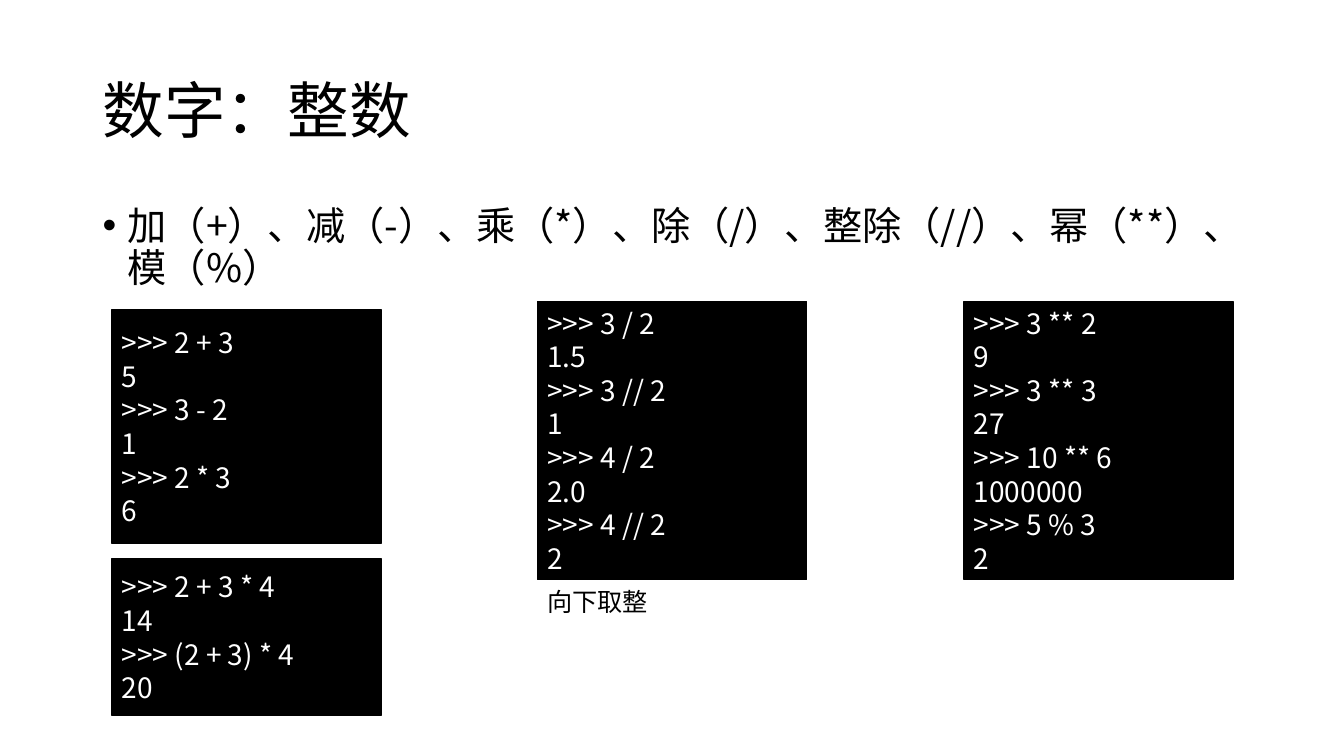
"""Build the slide on integer arithmetic in Python."""
import dataclasses

import lxml.etree
import pptx
import pptx.dml.color
import pptx.enum.shapes
import pptx.enum.text
import pptx.oxml.ns
import pptx.slide
import pptx.text.text
import pptx.util

EMU_PER_PX = 9144
FONT = "Noto Sans CJK SC"
COLORS = {"ink": "000000", "paper": "FFFFFF"}
CONSOLE_WIDTH = 267
COLUMNS = (111, 533, 956)
MIDDLE = pptx.enum.text.MSO_ANCHOR.MIDDLE
TOP = pptx.enum.text.MSO_ANCHOR.TOP


@dataclasses.dataclass(frozen=True)
class Label:
    text: str
    left: int
    top: int
    width: int
    height: int
    size: int
    anchor: pptx.enum.text.MSO_ANCHOR = TOP
    line_spacing: float = 1.0
    bullet: bool = False
    wrap: bool = True


@dataclasses.dataclass(frozen=True)
class Console:
    column: int
    top: int
    height: int
    lines: tuple[str, ...]


LABELS = (
    Label("数字：整数", 92, 40, 1150, 145, 44, anchor=MIDDLE, line_spacing=0.9),
    Label("加（+）、减（-）、乘（*）、除（/）、整除（//）、幂（**）、模（%）",
          92, 200, 1150, 476, 28, line_spacing=0.9, bullet=True),
    Label("向下取整", COLUMNS[1], 577, 121, 40, 18, wrap=False),
)

CONSOLES = (
    Console(0, 307, 232, (">>> 2 + 3", "5", ">>> 3 - 2", "1", ">>> 2 * 3", "6")),
    Console(1, 299, 276, (">>> 3 / 2", "1.5", ">>> 3 // 2", "1",
                          ">>> 4 / 2", "2.0", ">>> 4 // 2", "2")),
    Console(2, 299, 276, (">>> 3 ** 2", "9", ">>> 3 ** 3", "27",
                          ">>> 10 ** 6", "1000000", ">>> 5 % 3", "2")),
    Console(0, 554, 156, (">>> 2 + 3 * 4", "14", ">>> (2 + 3) * 4", "20")),
)


def px(length: int) -> pptx.util.Emu:
    return pptx.util.Emu(length * EMU_PER_PX)


def color(name: str) -> pptx.dml.color.RGBColor:
    return pptx.dml.color.RGBColor.from_string(COLORS[name])


def add_bullet(paragraph: pptx.text.text._Paragraph) -> None:
    properties = paragraph._p.get_or_add_pPr()
    properties.set("marL", str(px(25)))
    properties.set("indent", str(-px(25)))
    for tag, attribute, value in (("a:buFont", "typeface", "Arial"),
                                  ("a:buChar", "char", "•")):
        lxml.etree.SubElement(properties, pptx.oxml.ns.qn(tag)).set(attribute, value)


def style_paragraph(paragraph: pptx.text.text._Paragraph, size: int, ink: str) -> None:
    paragraph.alignment = pptx.enum.text.PP_ALIGN.LEFT
    paragraph.font.size = pptx.util.Pt(size)
    paragraph.font.color.rgb = color(ink)
    paragraph.font.name = FONT
    defaults = paragraph._p.pPr.find(pptx.oxml.ns.qn("a:defRPr"))
    lxml.etree.SubElement(defaults, pptx.oxml.ns.qn("a:ea")).set("typeface", FONT)


def draw_label(slide: pptx.slide.Slide, label: Label) -> None:
    shape = slide.shapes.add_textbox(
        px(label.left), px(label.top), px(label.width), px(label.height))
    frame = shape.text_frame
    frame.word_wrap = label.wrap
    frame.vertical_anchor = label.anchor
    if not label.wrap:
        frame.auto_size = pptx.enum.text.MSO_AUTO_SIZE.SHAPE_TO_FIT_TEXT
    frame.text = label.text
    paragraph = frame.paragraphs[0]
    paragraph.line_spacing = label.line_spacing
    if label.bullet:
        add_bullet(paragraph)
    style_paragraph(paragraph, label.size, "ink")


def draw_console(slide: pptx.slide.Slide, console: Console) -> None:
    shape = slide.shapes.add_shape(
        pptx.enum.shapes.MSO_SHAPE.RECTANGLE,
        px(COLUMNS[console.column]), px(console.top),
        px(CONSOLE_WIDTH), px(console.height))
    shape.shadow.inherit = False
    shape.fill.solid()
    shape.fill.fore_color.rgb = color("ink")
    shape.line.color.rgb = color("ink")
    shape.line.width = pptx.util.Pt(1)
    frame = shape.text_frame
    frame.word_wrap = True
    frame.vertical_anchor = MIDDLE
    frame.text = "\n".join(console.lines)
    for paragraph in frame.paragraphs:
        style_paragraph(paragraph, 20, "paper")


def main() -> None:
    presentation = pptx.Presentation()
    presentation.slide_width = px(1333)
    presentation.slide_height = px(750)
    slide = presentation.slides.add_slide(presentation.slide_layouts[6])
    for label in LABELS:
        draw_label(slide, label)
    for console in CONSOLES:
        draw_console(slide, console)
    presentation.save("out.pptx")


if __name__ == "__main__":
    main()
